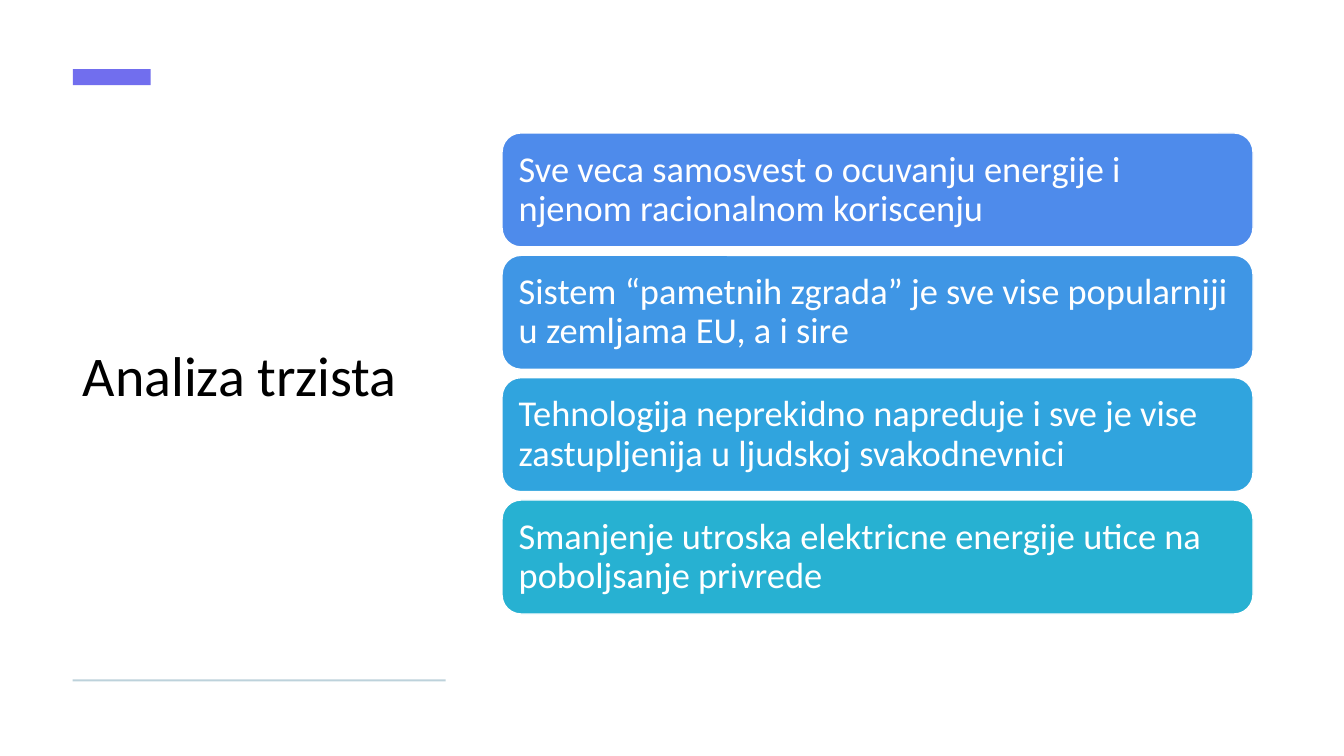
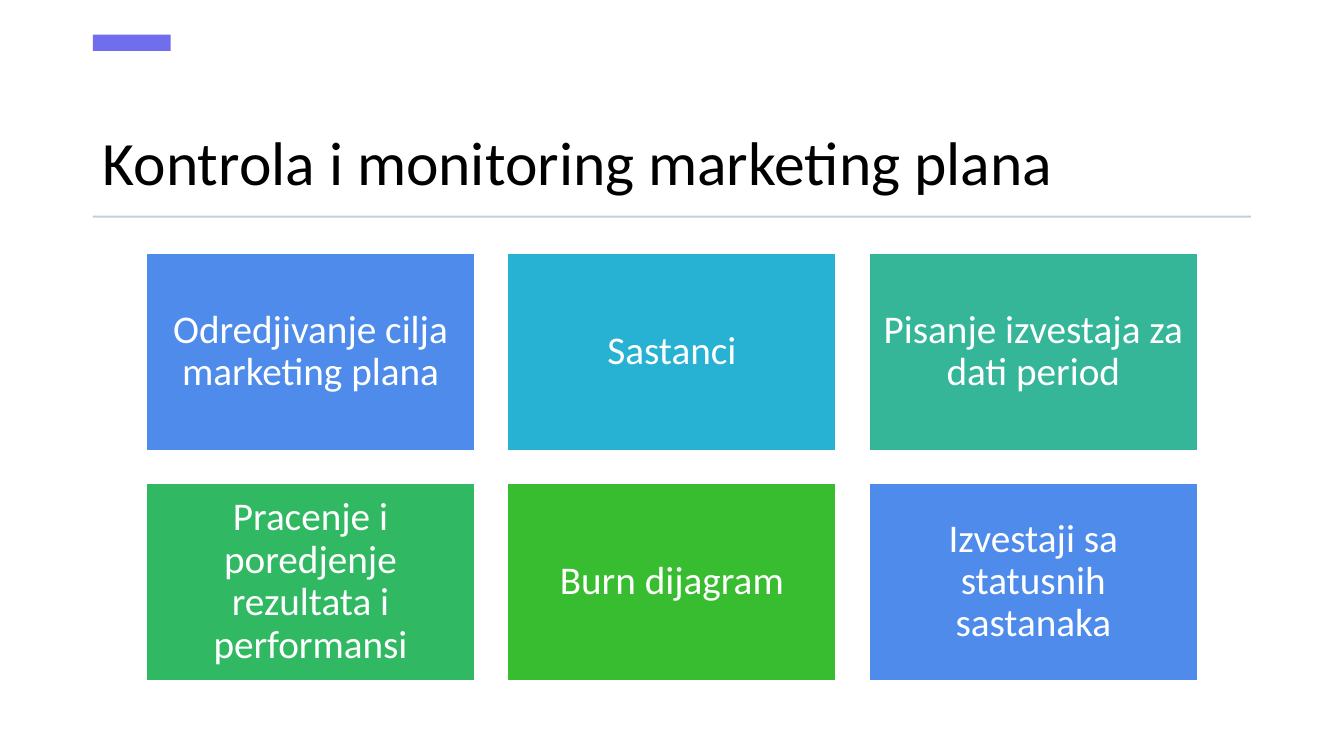
from pptx import Presentation
from pptx.dml.color import RGBColor
from pptx.enum import shapes, text
from pptx.util import Pt

FONT = "Calibri"
BLACK, WHITE = "000000", "FFFFFF"
ACCENT, RULE = "716EEE", "BDD2DB"
BLUE, SKY, AZURE, CYAN = "4E8BEB", "3F96E5", "30A4DE", "27B1D2"
TEAL, EMERALD, GREEN = "36B699", "30B962", "37BD2F"
RECT = shapes.MSO_SHAPE.RECTANGLE
ROUND = shapes.MSO_SHAPE.ROUNDED_RECTANGLE


def rgb(value):
    return RGBColor.from_string(value)


def add_text(sp, words, size, color=WHITE, align=text.PP_ALIGN.LEFT,
             anchor=text.MSO_ANCHOR.MIDDLE, inset=None):
    tf = sp.text_frame
    tf.word_wrap = True
    tf.vertical_anchor = anchor
    if inset is not None:
        tf.margin_left = tf.margin_right = Pt(inset)
        tf.margin_top = tf.margin_bottom = Pt(inset)
    p = tf.paragraphs[0]
    p.alignment = align
    p.line_spacing = 0.9
    r = p.add_run()
    r.text = words
    r.font.name, r.font.size = FONT, Pt(size)
    r.font.color.rgb = rgb(color)


def add_block(s, kind, box, fill, line=None):
    sp = s.shapes.add_shape(kind, *map(Pt, box))
    sp.shadow.inherit = False
    sp.fill.solid()
    sp.fill.fore_color.rgb = rgb(fill)
    if line:
        sp.line.color.rgb = rgb(line)
        sp.line.width = Pt(1)
    else:
        sp.line.fill.background()
    return sp


def add_heading(s, box, words, size, anchor, bar_top, rule_top):
    """Title with an accent bar above and a thin rule below."""
    left, _, width, _ = box
    title = s.shapes.add_textbox(*map(Pt, box))
    add_text(title, words, size, BLACK, anchor=anchor)
    add_block(s, RECT, (left, bar_top, 55.6, 11.6), ACCENT)
    add_block(s, RECT, (left, rule_top, width, 1.4), RULE)


def add_grid(s, box, items, columns, gap, kind, size, align, inset):
    """Equal filled blocks, row by row, that fill the box."""
    left, top, width, height = box
    rows = len(items) // columns
    w = (width - gap * (columns - 1)) / columns
    h = (height - gap * (rows - 1)) / rows
    for i, (words, fill) in enumerate(items):
        row, col = divmod(i, columns)
        cell = (left + col * (w + gap), top + row * (h + gap), w, h)
        sp = add_block(s, kind, cell, fill, WHITE)
        add_text(sp, words, size, align=align, inset=inset)


def market_slide(s):
    add_heading(s, (52, 75.6, 266.4, 389.5), "Analiza trzista", 40,
                text.MSO_ANCHOR.MIDDLE, bar_top=49.3, rule_top=485.3)
    cards = [
        ("Sve veca samosvest o ocuvanju energije i njenom racionalnom koriscenju", BLUE),
        ("Sistem “pametnih zgrada” je sve vise popularniji u zemljama EU, a i sire", SKY),
        ("Tehnologija neprekidno napreduje i sve je vise zastupljenija u ljudskoj svakodnevnici", AZURE),
        ("Smanjenje utroska elektricne energije utice na poboljsanje privrede", CYAN),
    ]
    add_grid(s, (358.6, 95, 536.4, 343.6), cards, 1, 6, ROUND, 26,
             text.PP_ALIGN.LEFT, 7.9)


def control_slide(s):
    add_heading(s, (66.3, 54, 827.3, 91.4), "Kontrola i monitoring marketing plana",
                44, text.MSO_ANCHOR.BOTTOM, bar_top=24.8, rule_top=154)
    tiles = [
        ("Odredjivanje cilja marketing plana", BLUE),
        ("Sastanci", CYAN),
        ("Pisanje izvestaja za dati period", TEAL),
        ("Pracenje i poredjenje rezultata i performansi", EMERALD),
        ("Burn dijagram", GREEN),
        ("Izvestaji sa statusnih sastanaka", BLUE),
    ]
    add_grid(s, (104.4, 180.8, 751, 305.2), tiles, 3, 23.4, RECT, 28,
             text.PP_ALIGN.CENTER, 8.4)


def main():
    prs = Presentation()
    prs.slide_width, prs.slide_height = Pt(960), Pt(540)
    for build in (market_slide, control_slide):
        build(prs.slides.add_slide(prs.slide_layouts[6]))
    prs.save("out.pptx")


if __name__ == "__main__":
    main()
